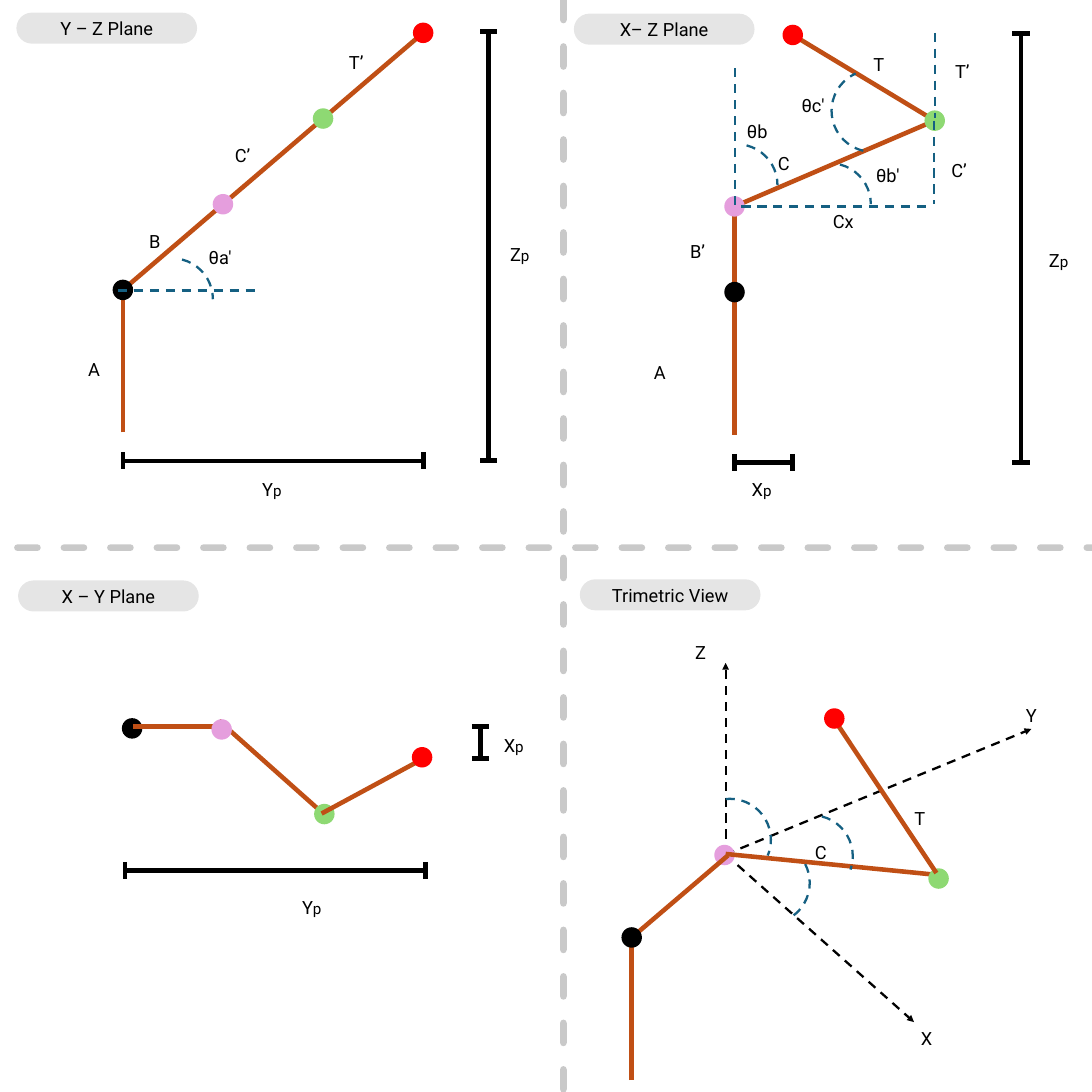
from dataclasses import dataclass

from pptx import Presentation
from pptx.dml.color import RGBColor as Rgb
from pptx.enum.dml import MSO_LINE_DASH_STYLE as Dash
from pptx.enum.shapes import MSO_CONNECTOR as Connector, MSO_SHAPE as Shape
from pptx.enum.text import MSO_ANCHOR as Anchor, PP_ALIGN as Align
from pptx.oxml.ns import qn
from pptx.util import Pt
from lxml.etree import SubElement


@dataclass(frozen=True)
class Theme:
    font: str = "Roboto"
    text_size: int = 24
    subscript_size: int = 20
    ink: str = "000000"
    link: str = "C04F15"
    guide: str = "156082"
    divider: str = "747474"
    heavy: float = 6
    light: float = 3
    divider_width: float = 8.75
    divider_alpha: int = 38
    pill_alpha: int = 10


THEME = Theme()
SIDE = 1440
JOINT_SIZE, ARC_SIZE, TICK = 27, 108, 22.5
PILL_WIDTH, PILL_HEIGHT = 238.3, 41
LABEL_WIDTH, LABEL_HEIGHT = 80, 28.8
COLOURS = {"shoulder": "000000", "elbow": "E59EDD", "wrist": "8ED973", "tip": "FF0000"}

# Panel titles: text, left, top
TITLES = [
    ("Y – Z Plane", 21.6, 16.6), ("X– Z Plane", 756.7, 18),
    ("X – Y Plane", 23.8, 765.4), ("Trimetric View", 764.6, 763.9),
]

# Side views: foot of the arm, then its joints in the order of COLOURS
SIDE_VIEWS = [
    [(162, 570.2)] + [(162 + 132 * i, 382.3 - 113 * i) for i in range(4)],
    [(968.6, 573.1), (968.6, 385.2), (968.6, 272.2), (1232.6, 159.1), (1045.4, 46.1)],
]

# Other views, back to front: a joint has a name and centre, a link two ends
TOP_VIEW = [
    ("shoulder", (174.2, 960.5)),
    ("link", (291.6, 958.3), (175.7, 958.3)),
    ("link", (426.2, 1072.8), (288.7, 950.4)),
    ("elbow", (292.3, 961.9)),
    ("wrist", (427.7, 1073.5)),
    ("link", (424.1, 1072.8), (558.7, 1000.1)),
    ("tip", (556.6, 998.6)),
]
TRIMETRIC_VIEW = [
    ("elbow", (955.4, 1127.5)),
    ("link", (956.9, 1126.1), (1240.6, 1154.2)),
    ("wrist", (1237.7, 1158.5)),
    ("link", (1100.2, 949), (1234.8, 1151.3)),
    ("tip", (1100.2, 947.5)),
    ("link", (827.3, 1241.3), (959.8, 1128.2)),
    ("link", (833, 1424.2), (833, 1236.2)),
    ("shoulder", (833, 1236.2)),
]
ORIGIN = (956.9, 1126.8)
AXIS_ENDS = [(956.9, 874.1), (1205.3, 1347.8), (1360.1, 961.2)]

# Dimension bars: axis, start, end, label centre
DIMENSIONS = [
    ("Y", (162, 607.7), (558.4, 607.7), (358.6, 645.8)),
    ("Z", (644.4, 607), (644.4, 41.2), (685.4, 334.8)),
    ("X", (968.6, 609.8), (1045.4, 609.8), (1004.4, 645.8)),
    ("Z", (1346.4, 609.8), (1346.4, 44), (1396.1, 342.7)),
    ("Y", (164.9, 1147.7), (561.4, 1147.7), (411.1, 1196.6)),
    ("X", (633.6, 958.3), (633.6, 1000.1), (677.5, 982.1)),
]

GUIDES = [
    ((155.5, 383), (336.2, 383)), ((977.8, 272.2), (1229.8, 272.2)),
    ((1231.9, 159.1), (1231.9, 269.3)), ((1232.6, 43.2), (1232.6, 155.5)),
    ((969.1, 90), (969.1, 272.2)),
]

# Angle arcs: centre, start and end in degrees
ARCS = [
    ((226.8, 394.6), 284.22, 0), ((1094.4, 269.3), 284.22, 0),
    ((971.3, 244.1), 284.22, 0), ((1150.6, 146.2), 102.93, 245.74),
    ((1070.6, 1129), 284.22, 19.13), ((1013.8, 1164.2), 332.87, 54.31),
    ((962.6, 1107.4), 264.01, 22.67),
]

# Labels: text and centre
LABELS = [
    ("A", (124.2, 487.4)), ("B", (204.1, 318.2)), ("C’", (320, 205.2)),
    ("T’", (469.8, 82.1)), ("θa'", (290.2, 339.1)),
    ("A", (870.1, 490.3)), ("B’", (919.8, 331.9)), ("C", (1033.6, 215.3)),
    ("T", (1158.8, 84.2)), ("θb'", (1170.7, 231.1)), ("θc'", (1072.1, 138.2)),
    ("C’", (1264.7, 224.6)), ("Cx", (1112, 292.3)), ("T’", (1269, 94.3)),
    ("θb", (998.6, 173.5)),
    ("C", (1082.5, 1123.2)), ("T", (1212.8, 1079.3)), ("Y", (1360.1, 943.2)),
    ("Z", (923.8, 859.7)), ("X", (1221.8, 1369.4)),
]
DIVIDERS = [((743, 0), (743, SIDE)), ((23, 722.2), (SIDE, 722.2))]


def around(centre, width, height):
    x, y = centre
    return Pt(x - width / 2), Pt(y - height / 2), Pt(width), Pt(height)


def set_alpha(element, percent):
    colour = next(element.iter(qn("a:srgbClr")))
    SubElement(colour, qn("a:alpha"), val=str(percent * 1000))


def add_line(slide, start, end, colour, width, dashed=False):
    line = slide.shapes.add_connector(Connector.STRAIGHT, *map(Pt, start + end))
    line.line.color.rgb = Rgb.from_string(colour)
    line.line.width = Pt(width)
    if dashed:
        line.line.dash_style = Dash.DASH
    SubElement(line._element.spPr, qn("a:effectLst"))
    return line


def add_link(slide, start, end):
    add_line(slide, start, end, THEME.link, THEME.heavy)


def add_joint(slide, name, centre):
    joint = slide.shapes.add_shape(Shape.OVAL, *around(centre, JOINT_SIZE, JOINT_SIZE))
    joint.shadow.inherit = False
    joint.fill.solid()
    joint.fill.fore_color.rgb = Rgb.from_string(COLOURS[name])
    joint.line.fill.background()


def write(box, text, subscript=""):
    frame = box.text_frame
    frame.word_wrap = True
    frame.vertical_anchor = Anchor.MIDDLE
    frame.margin_left = frame.margin_right = frame.margin_top = frame.margin_bottom = 0
    frame.text = text
    para = frame.paragraphs[0]
    para.alignment = Align.CENTER
    if subscript:
        para.add_run().text = subscript
    for span, size in zip(para.runs, (THEME.text_size, THEME.subscript_size)):
        span.font.name = THEME.font
        span.font.size = Pt(size)
        span.font.color.rgb = Rgb.from_string(THEME.ink)


def add_label(slide, text, centre, subscript=""):
    box = slide.shapes.add_textbox(*around(centre, LABEL_WIDTH, LABEL_HEIGHT))
    write(box, text, subscript)


def add_title(slide, text, left, top):
    pill = slide.shapes.add_shape(Shape.ROUNDED_RECTANGLE, *map(Pt, (left, top, PILL_WIDTH, PILL_HEIGHT)))
    pill.adjustments[0] = 0.5
    pill.shadow.inherit = False
    pill.fill.solid()
    pill.fill.fore_color.rgb = Rgb.from_string(THEME.ink)
    set_alpha(pill._element.spPr, THEME.pill_alpha)
    pill.line.fill.background()
    write(pill, text)


def add_dimension(slide, axis, start, end, label_centre):
    add_line(slide, start, end, THEME.ink, THEME.heavy)
    dx, dy = (0, TICK / 2) if start[1] == end[1] else (TICK / 2, 0)
    for x, y in (start, end):
        add_line(slide, (x - dx, y - dy), (x + dx, y + dy), THEME.ink, THEME.heavy)
    add_label(slide, axis, label_centre, "p")


def add_arc(slide, centre, start, end):
    arc = slide.shapes.add_shape(Shape.ARC, *around(centre, ARC_SIZE, ARC_SIZE))
    arc.adjustments[0], arc.adjustments[1] = start * 0.6, end * 0.6
    arc.shadow.inherit = False
    arc.fill.background()
    arc.line.color.rgb = Rgb.from_string(THEME.guide)
    arc.line.width = Pt(THEME.light)
    arc.line.dash_style = Dash.DASH


def main():
    deck = Presentation()
    deck.slide_width = deck.slide_height = Pt(SIDE)
    slide = deck.slides.add_slide(deck.slide_layouts[6])

    # Dividers and panel titles
    for start, end in DIVIDERS:
        divider = add_line(slide, start, end, THEME.divider, THEME.divider_width, dashed=True)
        outline = divider.line._get_or_add_ln()
        outline.set("cap", "rnd")
        set_alpha(outline, THEME.divider_alpha)
    for title in TITLES:
        add_title(slide, *title)

    # Axes and arm
    for end in AXIS_ENDS:
        axis = add_line(slide, ORIGIN, end, THEME.ink, THEME.light, dashed=True)
        SubElement(axis.line._get_or_add_ln(), qn("a:tailEnd"), type="triangle")
    for points in SIDE_VIEWS:
        for start, end in zip(points, points[1:]):
            add_link(slide, start, end)
        for name, centre in zip(COLOURS, points[1:]):
            add_joint(slide, name, centre)
    for kind, *points in TOP_VIEW + TRIMETRIC_VIEW:
        if kind == "link":
            add_link(slide, *points)
        else:
            add_joint(slide, kind, *points)

    # Measurements and labels
    for dimension in DIMENSIONS:
        add_dimension(slide, *dimension)
    for start, end in GUIDES:
        add_line(slide, start, end, THEME.guide, THEME.light, dashed=True)
    for arc in ARCS:
        add_arc(slide, *arc)
    for label in LABELS:
        add_label(slide, *label)

    deck.save("out.pptx")


if __name__ == "__main__":
    main()
